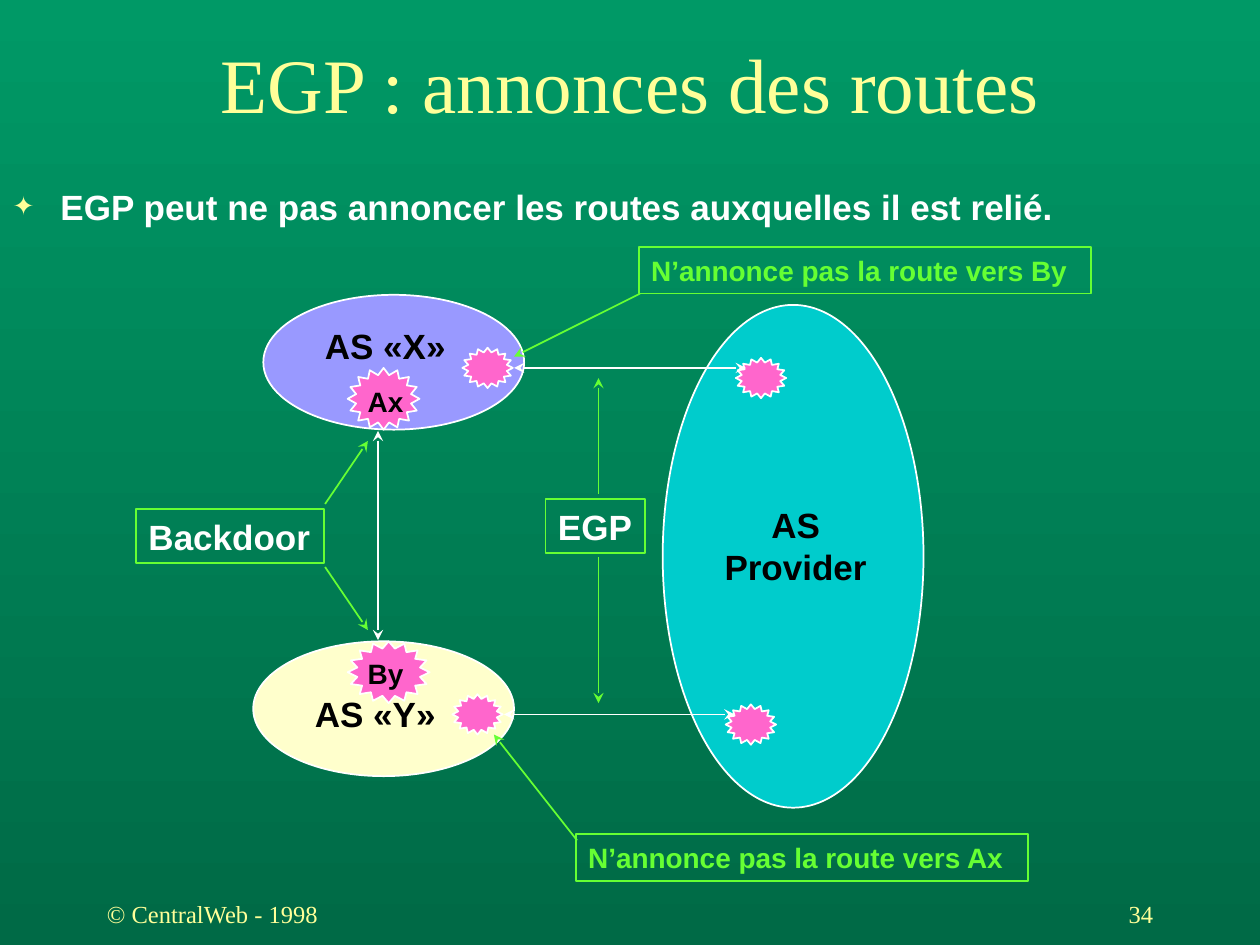
from math import cos, pi, sin

from lxml.etree import SubElement
from pptx import Presentation
from pptx.dml.color import RGBColor
from pptx.enum.shapes import MSO_CONNECTOR, MSO_SHAPE
from pptx.enum.text import MSO_ANCHOR, MSO_AUTO_SIZE, PP_ALIGN
from pptx.oxml.ns import qn
from pptx.util import Inches, Pt

WHITE = RGBColor(0xFF, 0xFF, 0xFF)
BLACK = RGBColor(0x00, 0x00, 0x00)
YELLOW = RGBColor(0xFF, 0xFF, 0x99)
GREEN = RGBColor(0x66, 0xFF, 0x33)
PINK = RGBColor(0xFF, 0x66, 0xCC)
LAVENDER = RGBColor(0x99, 0x99, 0xFF)
CREAM = RGBColor(0xFF, 0xFF, 0xCC)
TURQUOISE = RGBColor(0x00, 0xCC, 0xCC)
BACKDROP_TOP = RGBColor(0x00, 0x99, 0x66)
BACKDROP_BOTTOM = RGBColor(0x00, 0x6A, 0x46)

SANS = "Arial"
SERIF = "Times New Roman"


class RouteSlide:
    line_width = Pt(1)
    star_points = 16
    star_inner_ratio = 0.78

    def __init__(self, slide):
        self.slide = slide
        self.shapes = slide.shapes

    def background(self, top, bottom):
        fill = self.slide.background.fill
        fill.gradient()
        fill.gradient_angle = 270
        for stop, color in zip(fill.gradient_stops, (top, bottom)):
            stop.color.rgb = color

    def add_text(self, paragraph, text, size, color, font=SANS, bold=True):
        run = paragraph.add_run()
        run.text = text
        run.font.name = font
        run.font.size = Pt(size)
        run.font.bold = bold
        run.font.color.rgb = color

    def place(self, holder, left, top, width, height):
        holder.left, holder.top = Inches(left), Inches(top)
        holder.width, holder.height = Inches(width), Inches(height)
        holder.text_frame.auto_size = MSO_AUTO_SIZE.NONE

    def title(self, text, *box):
        heading = self.shapes.title
        self.place(heading, *box)
        heading.text_frame.vertical_anchor = MSO_ANCHOR.MIDDLE
        paragraph = heading.text_frame.paragraphs[0]
        paragraph.alignment = PP_ALIGN.CENTER
        self.add_text(paragraph, text, 44, YELLOW, SERIF, False)

    def bullet(self, text, *box):
        body = self.slide.placeholders[1]
        self.place(body, *box)
        body.text_frame.vertical_anchor = MSO_ANCHOR.TOP
        paragraph = body.text_frame.paragraphs[0]
        properties = paragraph._p.get_or_add_pPr()
        properties.set("marL", str(Inches(0.38)))
        properties.set("indent", str(Inches(-0.38)))
        bullet_color = SubElement(properties, qn("a:buClr"))
        SubElement(bullet_color, qn("a:srgbClr"), val=str(YELLOW))
        SubElement(properties, qn("a:buSzPct"), val="75000")
        SubElement(properties, qn("a:buChar"), char="✦")
        paragraph.space_before = Pt(0)
        self.add_text(paragraph, text, 20, WHITE)

    def outline(self, shape, color):
        shape.line.color.rgb = color
        shape.line.width = self.line_width

    def ellipse(self, left, top, width, height, color):
        system = self.shapes.add_shape(
            MSO_SHAPE.OVAL, Inches(left), Inches(top), Inches(width), Inches(height))
        system.shadow.inherit = False
        system.fill.solid()
        system.fill.fore_color.rgb = color
        self.outline(system, WHITE)

    def star(self, left, top, width=0.4, height=0.32):
        corners = []
        for step in range(2 * self.star_points):
            ratio = self.star_inner_ratio if step % 2 else 1
            angle = pi - step * pi / self.star_points
            corners.append((Inches(left + width / 2 * (1 + ratio * cos(angle))),
                            Inches(top + height / 2 * (1 + ratio * sin(angle)))))
        builder = self.shapes.build_freeform(*corners[0])
        builder.add_line_segments(corners[1:], close=True)
        router = builder.convert_to_shape()
        router.shadow.inherit = False
        router.fill.solid()
        router.fill.fore_color.rgb = PINK
        self.outline(router, WHITE)

    def fill_frame(self, frame, lines, size, color, align, wrap):
        frame.word_wrap = wrap
        frame.auto_size = MSO_AUTO_SIZE.SHAPE_TO_FIT_TEXT
        frame.vertical_anchor = MSO_ANCHOR.TOP
        for index, line in enumerate(lines):
            paragraph = frame.add_paragraph() if index else frame.paragraphs[0]
            paragraph.alignment = align
            self.add_text(paragraph, line, size, color)

    def label(self, lines, left, top, width, height, size=20, align=PP_ALIGN.LEFT):
        caption = self.shapes.add_textbox(
            Inches(left), Inches(top), Inches(width), Inches(height))
        self.fill_frame(caption.text_frame, lines, size, BLACK, align, False)

    def framed(self, text, left, top, width, height, size=20, color=WHITE, wrap=False):
        frame = self.shapes.add_shape(
            MSO_SHAPE.RECTANGLE, Inches(left), Inches(top), Inches(width), Inches(height))
        frame.shadow.inherit = False
        frame.fill.background()
        self.outline(frame, GREEN)
        self.fill_frame(frame.text_frame, [text], size, color, PP_ALIGN.LEFT, wrap)

    def arrow(self, start, end, color=GREEN, double=False):
        link = self.shapes.add_connector(
            MSO_CONNECTOR.STRAIGHT, *map(Inches, start), *map(Inches, end))
        self.outline(link, color)
        line = link.line._get_or_add_ln()
        if double:
            SubElement(line, qn("a:headEnd"), type="stealth")
        SubElement(line, qn("a:tailEnd"), type="stealth")
        SubElement(link._element.spPr, qn("a:effectLst"))

    def footer(self, text, left, align):
        note = self.shapes.add_textbox(Inches(left), Inches(7), Inches(2.08), Inches(0.5))
        note.text_frame.word_wrap = True
        note.text_frame.vertical_anchor = MSO_ANCHOR.MIDDLE
        paragraph = note.text_frame.paragraphs[0]
        paragraph.alignment = align
        self.add_text(paragraph, text, 14, YELLOW, SERIF, False)


def main():
    deck = Presentation()
    deck.slide_width, deck.slide_height = Inches(10), Inches(7.5)
    page = RouteSlide(deck.slides.add_slide(deck.slide_layouts[1]))

    page.background(BACKDROP_TOP, BACKDROP_BOTTOM)
    page.title("EGP : annonces des routes", 0, 0.31, 10, 0.69)
    page.bullet("EGP peut ne pas annoncer les routes auxquelles il est relié.",
                0, 1.42, 9.92, 0.5)

    page.ellipse(2.09, 2.34, 2.07, 1.07, LAVENDER)
    page.ellipse(2.01, 5.09, 2.07, 1.07, CREAM)
    page.ellipse(5.26, 2.42, 2.07, 3.99, TURQUOISE)
    page.label(["AS «X»"], 2.48, 2.53, 1.16, 0.43)
    page.label(["AS «Y»"], 2.4, 5.45, 1.16, 0.43)
    for left, top in ((3.67, 2.76), (3.59, 5.51), (5.84, 2.84), (5.76, 5.59)):
        page.star(left, top)
    page.label(["AS", "Provider"], 5.65, 3.95, 1.33, 0.77, align=PP_ALIGN.CENTER)

    page.arrow((4.08, 2.92), (5.92, 2.92), WHITE, double=True)
    page.arrow((4, 5.67), (5.83, 5.67), WHITE, double=True)
    page.framed("EGP", 4.33, 3.96, 0.79, 0.43)
    page.arrow((4.75, 3.92), (4.75, 3))
    page.arrow((4.75, 4.42), (4.75, 5.58))

    page.star(2.76, 2.92, 0.57, 0.49)
    page.star(2.76, 5.09, 0.65, 0.49)
    page.arrow((3, 3.42), (3, 5.08), WHITE, double=True)
    page.framed("Backdoor", 1.08, 4.04, 1.49, 0.43)
    page.arrow((2.58, 4), (2.92, 3.5))
    page.arrow((2.58, 4.5), (2.92, 5))
    page.label(["By"], 2.82, 5.16, 0.49, 0.37, 16)
    page.label(["Ax"], 2.82, 3, 0.49, 0.37, 16)

    page.framed("N’annonce pas la route vers Ax", 4.57, 6.62, 3.59, 0.37, 16, GREEN, True)
    page.arrow((4.58, 6.67), (3.92, 5.83))
    page.framed("N’annonce pas la route vers By", 5.07, 1.96, 3.59, 0.37, 16, GREEN, True)
    page.arrow((5.08, 2.33), (4.08, 2.83))

    page.footer("34", 7.17, PP_ALIGN.RIGHT)
    page.footer("© CentralWeb - 1998", 0.75, PP_ALIGN.LEFT)
    deck.save("out.pptx")


if __name__ == "__main__":
    main()
